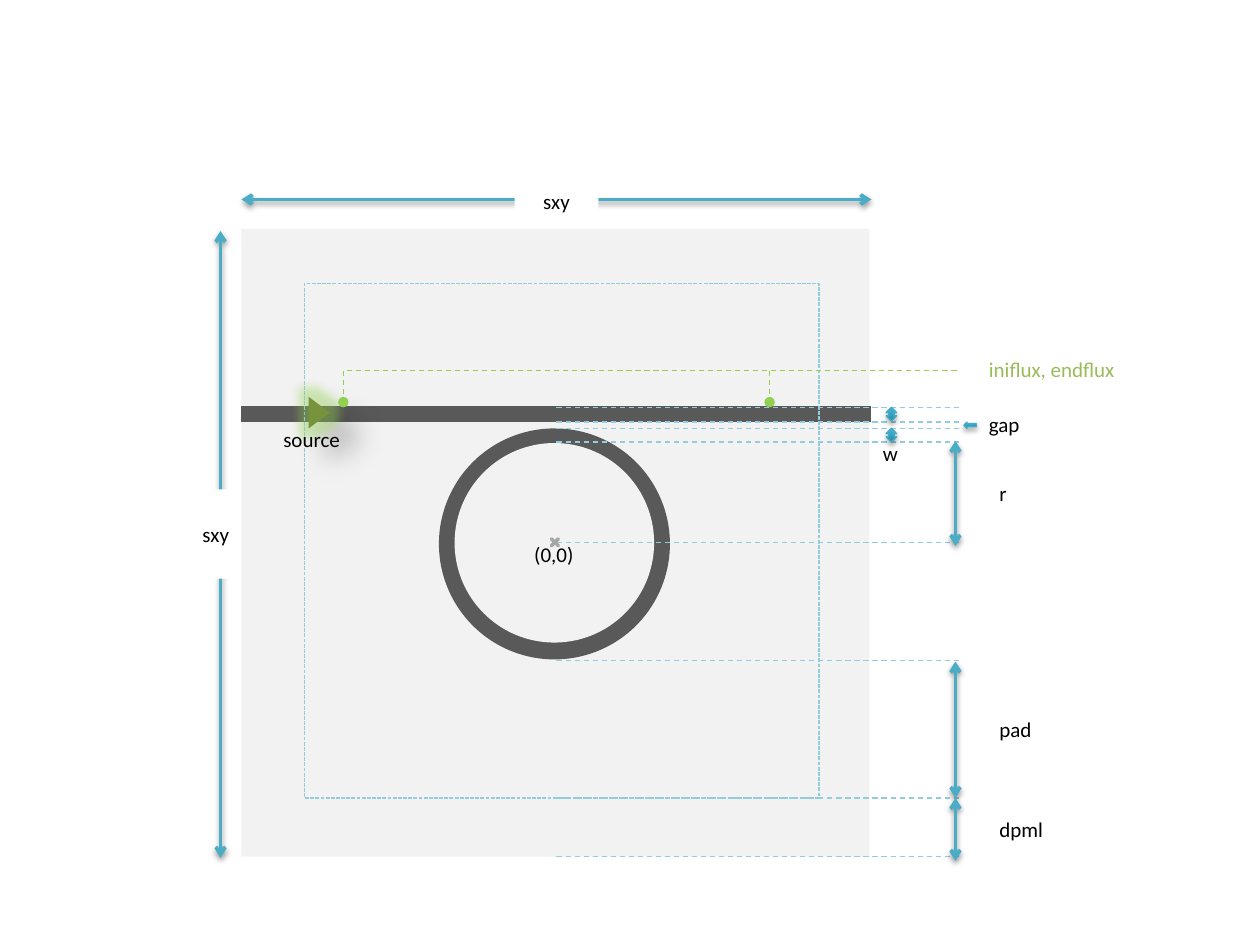
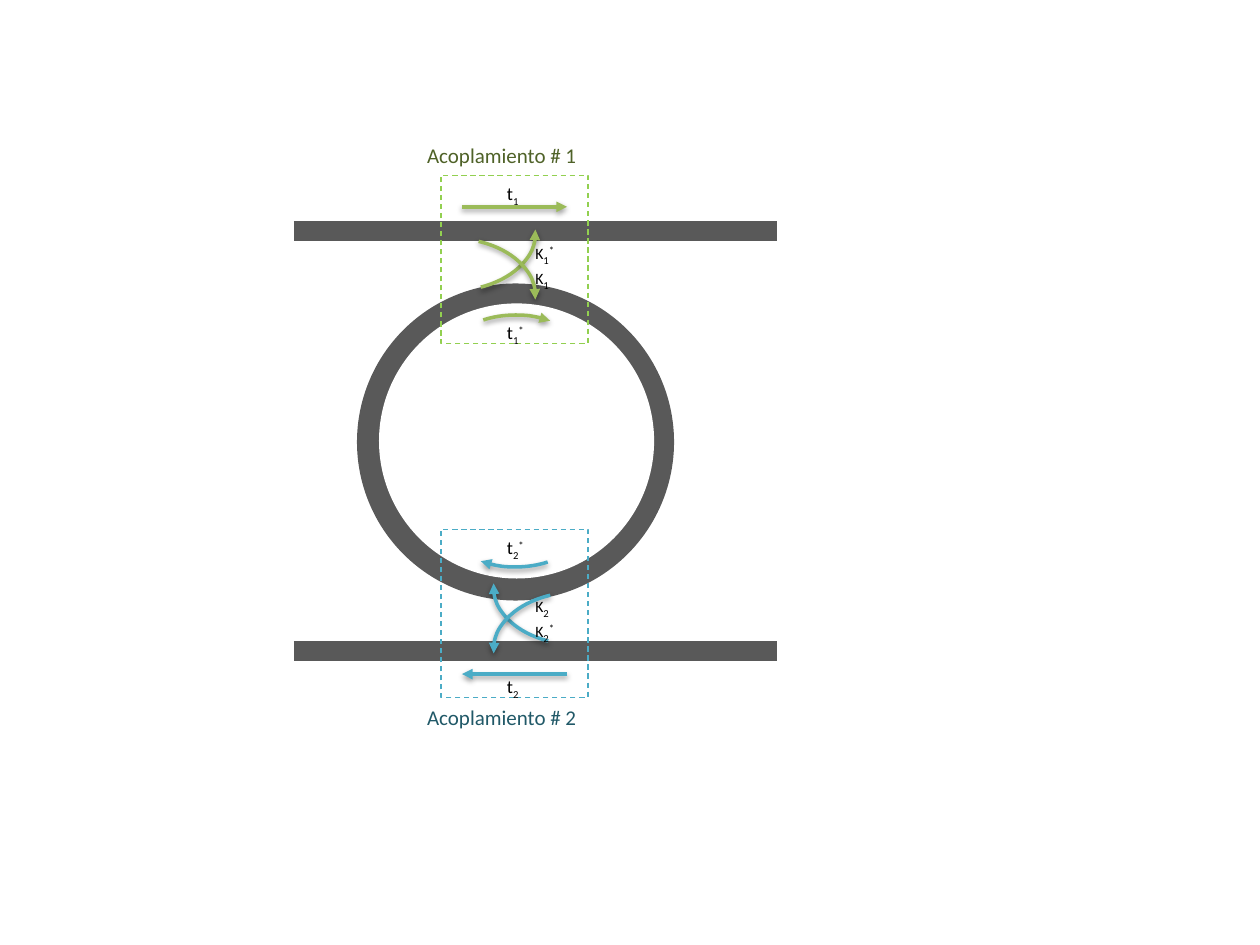
"""Two diagrams of ring resonators: simulation cell and coupling coefficients."""
from lxml import etree
from pptx import Presentation
from pptx import util as u
from pptx.dml.color import RGBColor
from pptx.enum import dml, shapes, text
from pptx.oxml.ns import qn

# Grid of 120 columns by 90 rows on a 10 x 7.5 inch slide.
CELL = u.Inches(10) // 120
FONT = "Calibri"
LABEL_HEIGHT = 3.6

WHITE = RGBColor(0xFF, 0xFF, 0xFF)
BLACK = RGBColor(0, 0, 0)
PALE = RGBColor(0xF2, 0xF2, 0xF2)
GREY = RGBColor(0xA6, 0xA6, 0xA6)
DARK = RGBColor(0x59, 0x59, 0x59)
LIGHT_BLUE = RGBColor(0x93, 0xCD, 0xDD)
BLUE = RGBColor(0x4B, 0xAC, 0xC6)
EDGE_BLUE = RGBColor(0x46, 0xAA, 0xC5)
DEEP_BLUE = RGBColor(0x21, 0x59, 0x68)
GREEN = RGBColor(0x9B, 0xBB, 0x59)
LIME = RGBColor(0x92, 0xD0, 0x50)
OLIVE = RGBColor(0x77, 0x93, 0x3C)
DEEP_GREEN = RGBColor(0x4F, 0x62, 0x28)
GRADIENT = ((0, "2A88A2"), (80, "37B1D2"), (100, "34B4D6"))

# Opacity %, blur pt, distance pt, direction in degrees.
LINE_SHADOW = (38, 3.1, 1.6, 90)
ARROW_SHADOW = (35, 3.1, 1.8, 90)
SOURCE_SHADOW = (30, 15, 18, 45)

SHAPE = shapes.MSO_SHAPE
DASH = dml.MSO_LINE.DASH


def grid(*cells):
    """Turn grid cells into slide lengths."""
    return [round(cell * CELL) for cell in cells]


def child(parent, tag, **attributes):
    """Append a DrawingML element."""
    element = etree.SubElement(parent, qn("a:" + tag))
    for name, value in attributes.items():
        element.set(name, str(value))
    return element


def add_effects(item, shadow=None, glow=None):
    """Replace the theme effects by the given shadow and glow."""
    properties = item._element.spPr
    for old in properties.findall(qn("a:effectLst")):
        properties.remove(old)
    effects = child(properties, "effectLst")
    if glow:
        color, radius, opacity = glow
        halo = child(effects, "glow", rad=u.Pt(radius))
        child(child(halo, "srgbClr", val=color), "alpha", val=opacity * 1000)
    if shadow:
        opacity, blur, distance, direction = shadow
        outer = child(effects, "outerShdw", blurRad=u.Pt(blur), dist=u.Pt(distance),
                      dir=direction * 60000, rotWithShape=0)
        child(child(outer, "srgbClr", val=BLACK), "alpha", val=opacity * 1000)


def style_line(line, color, width, dash=None, head=None, tail=None):
    """Set colour, width, dash and ends of an outline."""
    line.color.rgb = color
    line.width = u.Pt(width)
    if dash:
        line.dash_style = dash
    for tag, end in (("headEnd", head), ("tailEnd", tail)):
        if end:
            child(line._get_or_add_ln(), tag, type=end)


def add_line(slide, start, end, color, width=0.75, shadow=None, **style):
    """Draw a straight line between two grid points."""
    line = slide.shapes.add_connector(shapes.MSO_CONNECTOR.STRAIGHT, *grid(*start, *end))
    style_line(line.line, color, width, **style)
    add_effects(line, shadow)
    return line


def add_shape(slide, kind, box, fill=None, line=None, adjust=(), flip="",
              shadow=None, glow=None, **style):
    """Draw a preset shape in a grid box."""
    shape = slide.shapes.add_shape(kind, *grid(*box))
    for index, value in enumerate(adjust):
        shape.adjustments[index] = value
    for axis in flip:
        shape._element.spPr.xfrm.set("flip" + axis, "1")
    if fill is None:
        shape.fill.background()
    else:
        shape.fill.solid()
        shape.fill.fore_color.rgb = fill
    if line is None:
        shape.line.fill.background()
    else:
        style_line(shape.line, line, **style)
    add_effects(shape, shadow, glow)
    return shape


def add_block_arrow(slide, kind, box):
    """Draw a small block arrow with the blue gradient."""
    shape = add_shape(slide, kind, box, BLUE, EDGE_BLUE, width=0.75, shadow=ARROW_SHADOW)
    shape.fill.gradient()
    gradient = shape._element.spPr.find(qn("a:gradFill"))
    for old in list(gradient):
        gradient.remove(old)
    stops = child(gradient, "gsLst")
    for position, color in GRADIENT:
        child(child(stops, "gs", pos=position * 1000), "srgbClr", val=color)
    child(gradient, "lin", ang=270 * 60000, scaled=0)


def add_text(slide, box, runs, size=12, color=BLACK, align=text.PP_ALIGN.LEFT,
             anchor=text.MSO_ANCHOR.TOP, fill=None):
    """Write a string, or (words, size, baseline) runs, in a grid box."""
    shape = slide.shapes.add_textbox(*grid(*box))
    if fill is not None:
        shape.fill.solid()
        shape.fill.fore_color.rgb = fill
    frame = shape.text_frame
    frame.word_wrap = True
    frame.vertical_anchor = anchor
    paragraph = frame.paragraphs[0]
    paragraph.alignment = align
    for words, points, baseline in [(runs, size, 0)] if isinstance(runs, str) else runs:
        run = paragraph.add_run()
        run.text = words
        run.font.name = FONT
        run.font.size = u.Pt(points)
        run.font.color.rgb = color
        if baseline:
            run._r.get_or_add_rPr().set("baseline", str(baseline * 1000))


def add_symbol(slide, left, top, letter, number, star=False):
    """Write a coefficient with its subscript and optional star."""
    size, height = (9, 3) if letter == "Κ" else (10.5, 3.5)
    runs = [(letter, size, 0), (number, 10.5, -25)]
    if star:
        runs.append(("*", 10.5, 30))
    add_text(slide, (left, top, 5, height), runs)


def add_dimension(slide, start, end):
    """Draw a measuring line with arrows at both ends."""
    add_line(slide, start, end, BLUE, 2, LINE_SHADOW, head="arrow", tail="arrow")


def add_ring(slide, outer, inner, hole):
    """Draw a ring from (left, top, diameter) of its two circles."""
    for (left, top, size), fill in ((outer, DARK), (inner, hole)):
        add_shape(slide, SHAPE.OVAL, (left, top, size, size), fill)


def draw_cell(slide):
    """Draw the simulation cell with its dimensions."""
    guide_start, guide_end, dimension = 53, 91.4, 91
    bar, flux = 39.4, 35.3
    add_shape(slide, SHAPE.RECTANGLE, (23, 21.8, 59.8, 59.8), PALE)
    add_line(slide, (23, bar), (83, bar), DARK, 9)
    add_ring(slide, (41.8, 40.8, 22), (43.3, 42.2, 19), PALE)
    for row in (38.8, 40.2, 40.8, 42.1, 51.7, 62.9, 76, 81.6):
        add_line(slide, (guide_start, row), (guide_end, row), LIGHT_BLUE, dash=DASH)
    add_shape(slide, SHAPE.MATH_MULTIPLY, (52.2, 51, 1.3, 1.3), line=GREY, width=2, adjust=[0])
    add_shape(slide, SHAPE.RECTANGLE, (29, 27, 49, 49), line=LIGHT_BLUE, width=0.75,
              dash=dml.MSO_LINE.SQUARE_DOT)

    for top, bottom in ((42, 52), (63, 76), (76, 82)):
        add_dimension(slide, (dimension, top), (dimension, bottom))
    add_dimension(slide, (21, 22), (21, 81.7))
    add_dimension(slide, (23, 19), (83, 19))
    for top in (38.8, 40.8):
        add_block_arrow(slide, SHAPE.UP_DOWN_ARROW, (84.4, top, 1, 1.3))
    add_block_arrow(slide, SHAPE.LEFT_ARROW, (91.8, 40.2, 1.2, 0.6))

    source = add_shape(slide, SHAPE.ISOSCELES_TRIANGLE, (28.9, 38.3, 3, 2), OLIVE,
                       shadow=SOURCE_SHADOW, glow=(LIME, 11, 40))
    source.rotation = 90
    for column in (32.7, 73.3):
        add_line(slide, (column, flux), (column, 38.3), LIME, dash=DASH, tail="oval")
    add_line(slide, (33, flux), (guide_end, flux), LIME, dash=DASH)

    add_text(slide, (18, 46.6, 5, 8.5), "sxy", align=text.PP_ALIGN.RIGHT,
             anchor=text.MSO_ANCHOR.MIDDLE, fill=WHITE)
    add_text(slide, (49, 17.4, 8, LABEL_HEIGHT), "sxy", align=text.PP_ALIGN.CENTER, fill=WHITE)
    add_text(slide, (93, 33.4, 16, LABEL_HEIGHT), "iniflux, endflux", color=GREEN)
    for words, left, top, width in (
            ("gap", 93, 38.6, 6), ("(0,0)", 49.7, 51, 6.7), ("r", 94, 45.2, 4),
            ("w", 82.9, 41.4, 4), ("pad", 94, 67.7, 7), ("dpml", 94, 77.2, 7),
            ("source", 25.8, 40, 9)):
        add_text(slide, (left, top, width, LABEL_HEIGHT), words)


def draw_coupler(slide, number, frame_top, frame_color, color, arrow, arcs, ring_arc):
    """Draw one coupling frame with its straight and curved arrows."""
    add_shape(slide, SHAPE.RECTANGLE, (42, frame_top, 14, 16), line=frame_color,
              width=0.75, dash=DASH)
    start, end, row = arrow
    add_line(slide, (start, row), (end, row), color, 2, LINE_SHADOW, tail="triangle")
    left, mirror = arcs
    curves = (((left, frame_top, 16, 11), (179.09, 1.43), mirror + "V"),
              ((left, frame_top + 6, 16, 11), (177.88, 1.43), mirror),
              ((42.6, ring_arc, 13, 8), (137.37, 188.21), mirror and "HV"))
    for box, adjust, flip in curves:
        add_shape(slide, SHAPE.ARC, box, line=color, width=2, adjust=adjust, flip=flip,
                  shadow=LINE_SHADOW, tail="triangle")


def draw_coupling(slide):
    """Draw the ring between two guides with both couplers."""
    for row in (22, 62):
        add_line(slide, (28, row), (74, row), DARK, 11.75)
    add_ring(slide, (34, 27, 30.2), (36.1, 28.9, 26.2), WHITE)
    draw_coupler(slide, 1, 16.7, LIME, GREEN, (44, 54, 19.7), (35, ""), 30)
    draw_coupler(slide, 2, 50.4, BLUE, BLUE, (54, 44, 64.2), (47, "H"), 46)
    for number, top, color in ((1, 13, DEEP_GREEN), (2, 66.5, DEEP_BLUE)):
        add_text(slide, (39.5, top, 19.2, LABEL_HEIGHT), f"Acoplamiento # {number}", color=color)
    for letter, number, star, top in (
            ("t", "1", False, 16.8), ("Κ", "1", True, 22.4),
            ("Κ", "1", False, 24.8), ("t", "1", True, 30),
            ("t", "2", True, 50.5), ("Κ", "2", False, 56),
            ("Κ", "2", True, 58.4), ("t", "2", False, 63.7)):
        add_symbol(slide, 49.8 if letter == "Κ" else 47.1, top, letter, number, star)


def main():
    """Build and save both slides."""
    presentation = Presentation()
    presentation.slide_width, presentation.slide_height = grid(120, 90)
    for draw in (draw_cell, draw_coupling):
        draw(presentation.slides.add_slide(presentation.slide_layouts[6]))
    presentation.save("out.pptx")


main()
